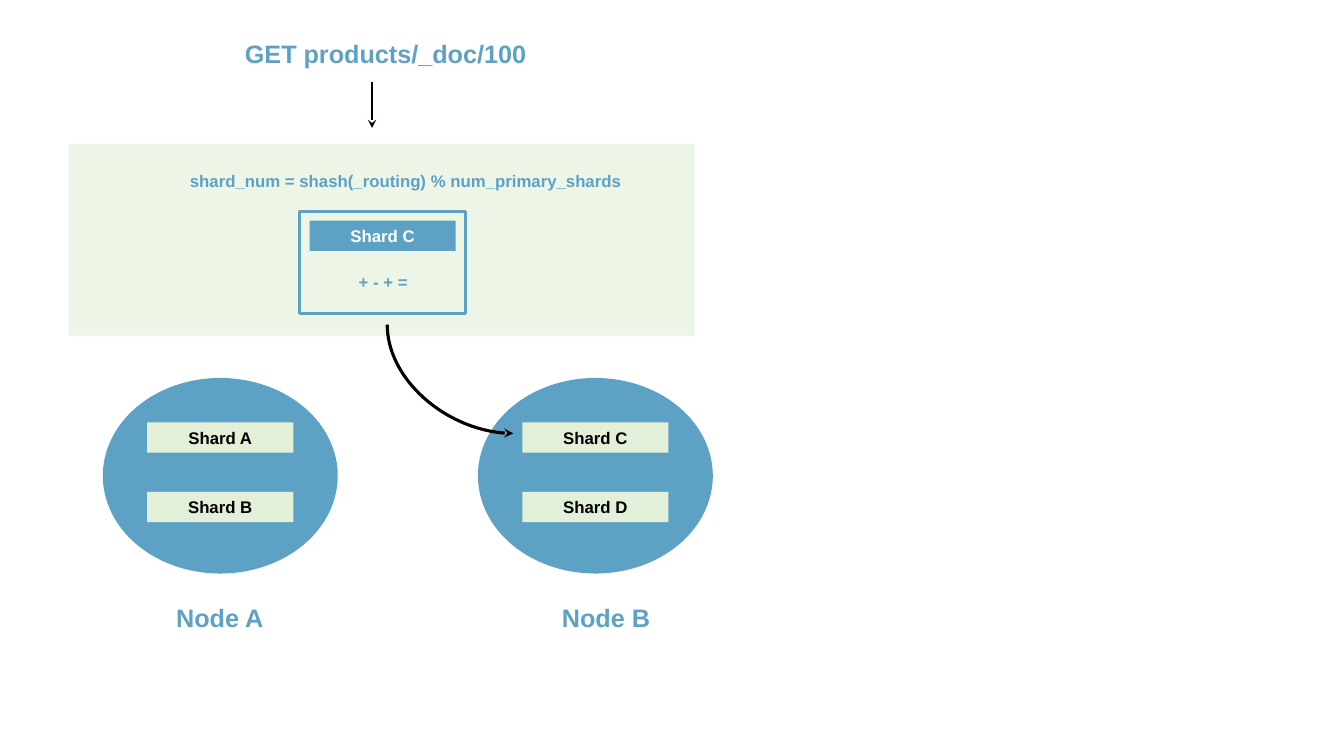
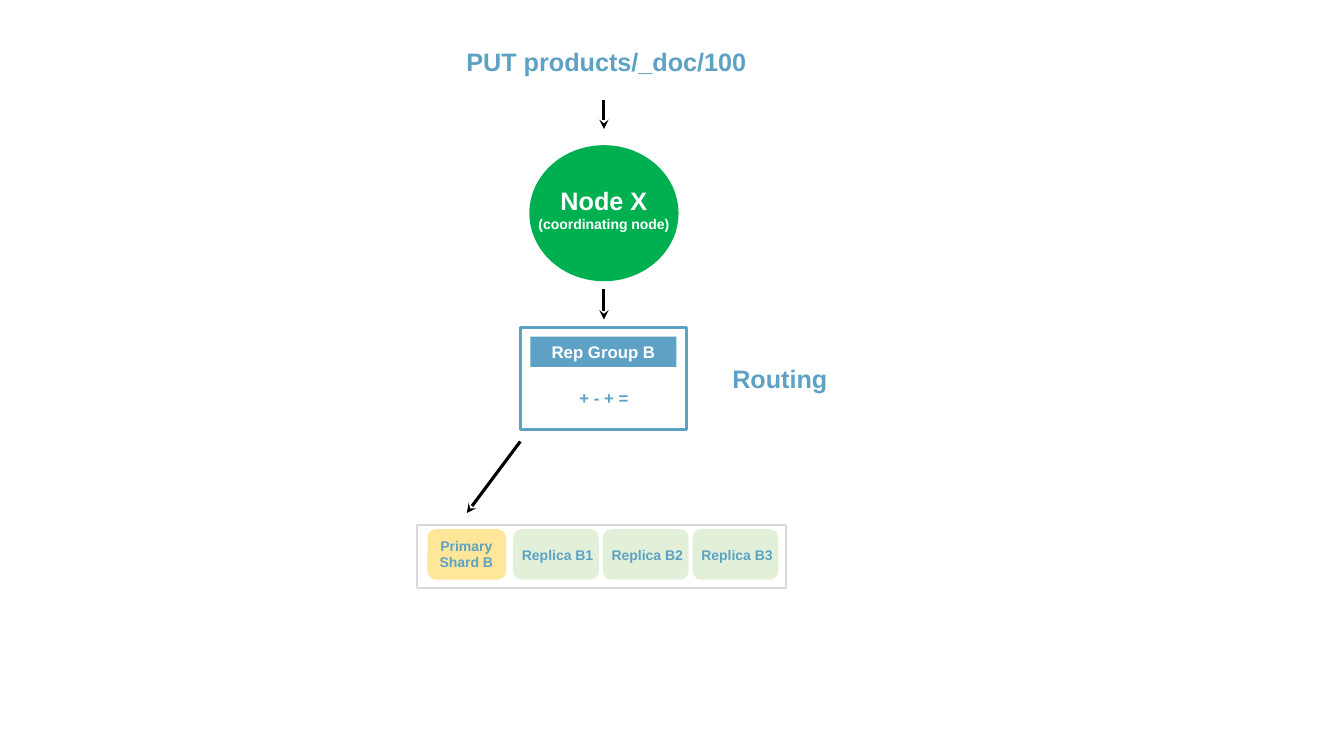
from dataclasses import dataclass

from lxml import etree
from pptx import Presentation
from pptx import util as u
from pptx.dml import color
from pptx.enum import shapes, text
from pptx.oxml import ns


@dataclass(frozen=True)
class Theme:
    font: str = "Arial"
    blue: str = "5DA2C5"
    pale_green: str = "E2F0D9"
    green: str = "00B050"
    yellow: str = "FFE699"
    grey: str = "D9D9D9"
    black: str = "000000"
    white: str = "FFFFFF"
    heading: int = 18
    body: int = 12
    small: int = 10
    thin: float = 1.5
    thick: float = 2.25


THEME = Theme()
RECT = shapes.MSO_SHAPE.RECTANGLE
OVAL = shapes.MSO_SHAPE.OVAL
ROUNDED = shapes.MSO_SHAPE.ROUNDED_RECTANGLE


def rgb(value):
    return color.RGBColor.from_string(value)


class Diagram:
    """Holds the deck, the style and the slide being drawn."""

    def __init__(self, theme):
        self.theme = theme
        self.deck = Presentation()
        self.deck.slide_width = u.Inches(13.33)
        self.deck.slide_height = u.Inches(7.5)

    def new_slide(self):
        self.slide = self.deck.slides.add_slide(self.deck.slide_layouts[6])
        self.leave_group()

    def enter_group(self):
        self.target = self.slide.shapes.add_group_shape().shapes

    def leave_group(self):
        self.target = self.slide.shapes

    def set_lines(self, frame, lines, ink):
        """Fill a frame with (wording, size) lines."""
        frame.word_wrap = True
        for i, (wording, size) in enumerate(lines):
            paragraph = frame.add_paragraph() if i else frame.paragraphs[0]
            paragraph.text = wording
            paragraph.alignment = text.PP_ALIGN.CENTER
            paragraph.font.name = self.theme.font
            paragraph.font.size = u.Pt(size)
            paragraph.font.bold = True
            paragraph.font.color.rgb = rgb(ink)

    def block(self, kind, x, y, w, h, fill=None, outline=None, weight=None, opacity=None):
        shape = self.target.add_shape(kind, *map(u.Inches, (x, y, w, h)))
        shape.shadow.inherit = False
        if fill:
            shape.fill.solid()
            shape.fill.fore_color.rgb = rgb(fill)
        else:
            shape.fill.background()
        if outline:
            shape.line.color.rgb = rgb(outline)
            shape.line.width = u.Pt(weight)
        else:
            shape.line.fill.background()
        if opacity:
            tint = shape.element.spPr.find(ns.qn("a:solidFill"))[0]
            etree.SubElement(tint, ns.qn("a:alpha"), val=str(opacity * 1000))
        return shape

    def bar(self, wording, x, y, fill, ink):
        shape = self.block(RECT, x, y, 1.45, 0.3, fill)
        self.set_lines(shape.text_frame, [(wording, self.theme.body)], ink)

    def label(self, lines, x, y, w, h, ink=None):
        box = self.target.add_textbox(*map(u.Inches, (x, y, w, h)))
        self.set_lines(box.text_frame, lines, ink or self.theme.blue)

    def heading(self, wording, x, y, w):
        self.label([(wording, self.theme.heading)], x, y, w, 0.4)

    def arrow(self, start, end, weight, kind=shapes.MSO_CONNECTOR.STRAIGHT):
        line = self.target.add_connector(kind, *map(u.Inches, (*start, *end)))
        line.line.color.rgb = rgb(self.theme.black)
        line.line.width = u.Pt(weight)
        properties = line.element.spPr
        etree.SubElement(properties.find(ns.qn("a:ln")), ns.qn("a:tailEnd"), type="stealth")
        etree.SubElement(properties, ns.qn("a:effectLst"))
        return line

    def curved_arrow(self, start, end, weight):
        """Leave downwards and arrive rightwards: a quarter curve turned by 270 degrees."""
        mid_x, mid_y = (start[0] + end[0]) / 2, (start[1] + end[1]) / 2
        half_w, half_h = (end[1] - start[1]) / 2, (end[0] - start[0]) / 2
        line = self.arrow((mid_x + half_w, mid_y - half_h), (mid_x - half_w, mid_y + half_h),
                          weight, shapes.MSO_CONNECTOR.CURVE)
        properties = line.element.spPr
        properties.find(ns.qn("a:xfrm")).set("rot", str(270 * 60000))
        properties.find(ns.qn("a:prstGeom")).set("prst", "curvedConnector2")

    def routing_box(self, wording, x, y):
        self.enter_group()
        self.block(RECT, x, y, 1.65, 1.01, outline=self.theme.blue, weight=self.theme.thick)
        self.bar(wording, x + 0.1, y + 0.09, self.theme.blue, self.theme.white)
        self.label([("+ - + =", self.theme.body)], x + 0.27, y + 0.55, 1.12, 0.3)
        self.leave_group()

    def node(self, name, x, name_x, shards):
        self.block(OVAL, x, 3.75, 2.33, 1.94, self.theme.blue)
        for i, shard in enumerate(shards):
            self.bar(shard, x + 0.44, 4.19 + 0.69 * i, self.theme.pale_green, self.theme.black)
        self.heading(name, name_x, 5.93, 1.32)


diagram = Diagram(THEME)

# Reading a document: request and routing formula
diagram.new_slide()
diagram.block(RECT, 0.68, 1.43, 6.21, 1.9, THEME.pale_green, opacity=64)
diagram.heading("GET products/_doc/100", 1.49, 0.33, 4.67)
diagram.arrow((3.69, 0.81), (3.69, 1.27), THEME.thin)
diagram.label([("shard_num = shash(_routing) % num_primary_shards", THEME.body)],
              1.69, 1.64, 4.67, 0.3)
diagram.routing_box("Shard C", 2.97, 2.1)

# Nodes and the chosen shard
diagram.node("Node A", 1.02, 1.52, ["Shard A", "Shard B"])
diagram.node("Node B", 4.74, 5.35, ["Shard C", "Shard D"])
diagram.curved_arrow((3.84, 3.22), (5.09, 4.3), THEME.thick)

# Writing a document: request and coordinating node
diagram.new_slide()
diagram.heading("PUT products/_doc/100", 3.68, 0.41, 4.67)
diagram.block(OVAL, 5.25, 1.44, 1.48, 1.35, THEME.green)
diagram.label([("Node X", THEME.heading), ("(coordinating node)", THEME.small)],
              5.11, 1.79, 1.76, 0.58, THEME.white)

# Routing to the replication group
diagram.routing_box("Rep Group B", 5.16, 3.25)
diagram.heading("Routing", 6.91, 3.56, 1.65)

# Replication group: primary shard and its replicas
diagram.enter_group()
diagram.block(RECT, 4.14, 5.21, 3.66, 0.62, outline=THEME.grey, weight=THEME.thin)
diagram.block(ROUNDED, 4.24, 5.25, 0.78, 0.5, THEME.yellow)
diagram.label([("Primary", THEME.small), ("Shard B", THEME.small)], 4.14, 5.28, 0.97, 0.44)
for i, replica in enumerate(["Replica B1", "Replica B2", "Replica B3"]):
    replica_x = 5.09 + 0.89 * i
    diagram.block(ROUNDED, replica_x, 5.25, 0.85, 0.5, THEME.pale_green)
    diagram.label([(replica, THEME.small)], replica_x - 0.15, 5.37, 1.18, 0.27)
diagram.leave_group()

# Flow from request to primary shard
for start, end in [((5.99, 0.99), (5.99, 1.28)),
                   ((5.99, 2.87), (5.99, 3.17)),
                   ((5.16, 4.38), (4.63, 5.09))]:
    diagram.arrow(start, end, THEME.thick)

diagram.deck.save("out.pptx")
